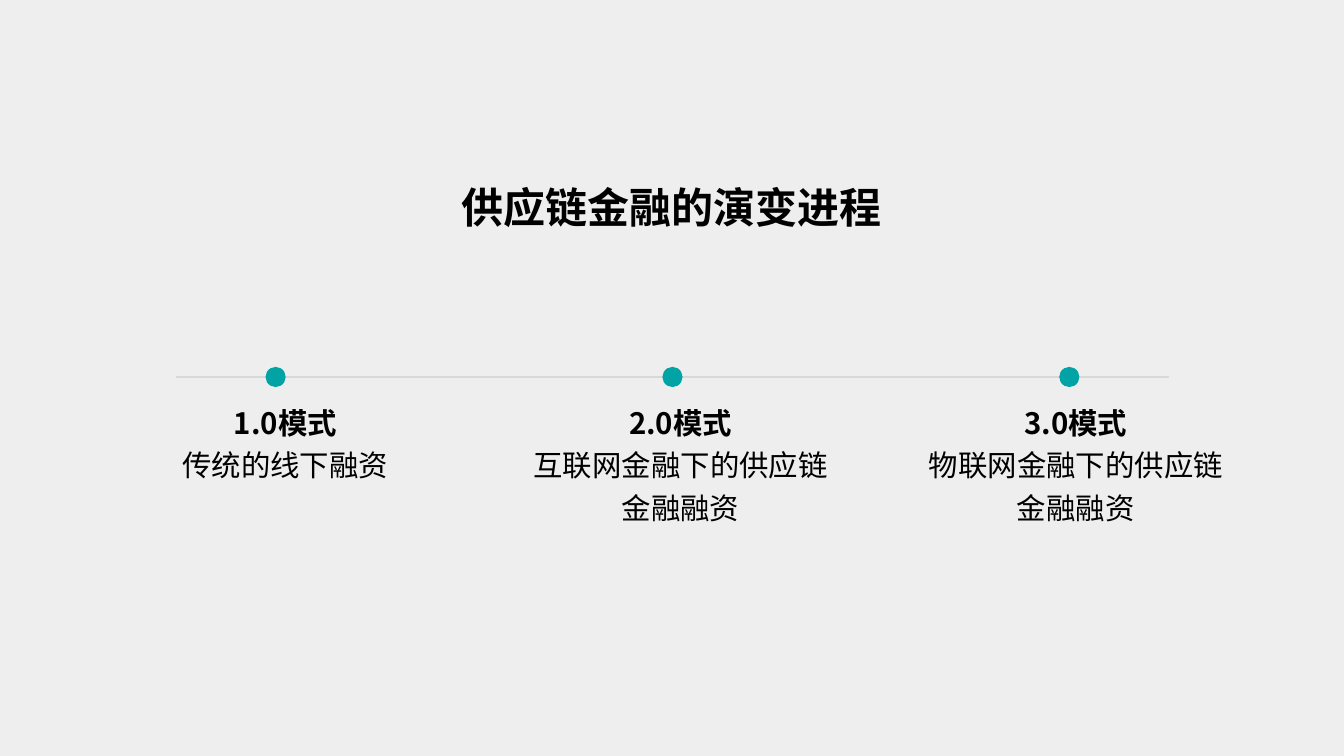
import pptx
import pptx.dml.color
import pptx.enum.shapes
import pptx.enum.text
import pptx.oxml
import pptx.oxml.ns
import pptx.util
import lxml.etree

WIDTH = pptx.util.Inches(13.33)
HEIGHT = pptx.util.Inches(7.5)
BACKGROUND = pptx.dml.color.RGBColor(0xEE, 0xEE, 0xEE)
AXIS = pptx.dml.color.RGBColor(0xD8, 0xD8, 0xD8)
TEAL = pptx.dml.color.RGBColor(0x01, 0xA3, 0xA5)
BLACK = pptx.dml.color.RGBColor(0, 0, 0)
FONT = "Noto Sans CJK SC"

AXIS_LEFT = pptx.util.Inches(1.75)
AXIS_LENGTH = pptx.util.Inches(9.84)
AXIS_TOP = pptx.util.Inches(3.74)
DOT = pptx.util.Inches(0.2)
CAPTION_TOP = pptx.util.Inches(3.9)
FIRST_CAPTION_CENTER = pptx.util.Inches(2.83)
CAPTION_STEP = pptx.util.Inches(3.92)

STAGES = [
    ("1.0模式", "传统的线下融资", 2.8, 0.95),
    ("2.0模式", "互联网金融下的供应链金融融资", 3.21, 1.37),
    ("3.0模式", "物联网金融下的供应链金融融资", 3.21, 1.37),
]


def format_paragraph(para, size, bold):
    para.alignment = pptx.enum.text.PP_ALIGN.CENTER
    para.line_spacing = 1.2
    font = para.font
    font.name = FONT
    font.size = pptx.util.Pt(size)
    font.bold = bold
    font.color.rgb = BLACK
    properties = para._p.get_or_add_pPr().find(pptx.oxml.ns.qn("a:defRPr"))
    east_asian = lxml.etree.SubElement(properties, pptx.oxml.ns.qn("a:ea"))
    east_asian.set("typeface", FONT)


def fill_text(box, lines, size):
    frame = box.text_frame
    frame.text = "\n".join(text for text, bold in lines)
    frame.word_wrap = True
    frame.auto_size = pptx.enum.text.MSO_AUTO_SIZE.SHAPE_TO_FIT_TEXT
    frame.vertical_anchor = pptx.enum.text.MSO_ANCHOR.TOP
    for para, (text, bold) in zip(frame.paragraphs, lines):
        format_paragraph(para, size, bold)


def add_title(page, text):
    title = page.shapes.title
    title.width, title.height = pptx.util.Inches(4.72), pptx.util.Inches(0.71)
    title.left = (WIDTH - title.width) // 2
    title.top = int(HEIGHT * 0.22)
    fill_text(title, [(text, True)], 30)


def add_axis(page):
    axis = page.shapes.add_connector(
        pptx.enum.shapes.MSO_CONNECTOR.STRAIGHT,
        AXIS_LEFT, AXIS_TOP, AXIS_LEFT + AXIS_LENGTH, AXIS_TOP)
    axis.line.color.rgb = AXIS
    axis.line.width = pptx.util.Pt(2)
    lxml.etree.SubElement(axis._element.spPr, pptx.oxml.ns.qn("a:effectLst"))


def add_dot(page, center):
    dot = page.shapes.add_shape(
        pptx.enum.shapes.MSO_SHAPE.OVAL,
        center - DOT // 2, AXIS_TOP - DOT // 2, DOT, DOT)
    dot.shadow.inherit = False
    dot.fill.solid()
    dot.fill.fore_color.rgb = TEAL
    dot.line.fill.background()


def add_caption(page, center, heading, detail, width, height):
    width, height = pptx.util.Inches(width), pptx.util.Inches(height)
    box = page.shapes.add_textbox(center - width // 2, CAPTION_TOP, width, height)
    fill_text(box, [(heading, True), (detail, False)], 21)


def main():
    deck = pptx.Presentation()
    deck.slide_width, deck.slide_height = WIDTH, HEIGHT
    page = deck.slides.add_slide(deck.slide_layouts.get_by_name("Title Only"))
    page.background.fill.solid()
    page.background.fill.fore_color.rgb = BACKGROUND
    add_title(page, "供应链金融的演变进程")
    add_axis(page)
    for index, stage in enumerate(STAGES):
        share = (index + 0.5) / len(STAGES) * 1.2 - 0.1
        add_dot(page, AXIS_LEFT + int(AXIS_LENGTH * share))
        add_caption(page, FIRST_CAPTION_CENTER + index * CAPTION_STEP, *stage)
    deck.save("out.pptx")


if __name__ == "__main__":
    main()
